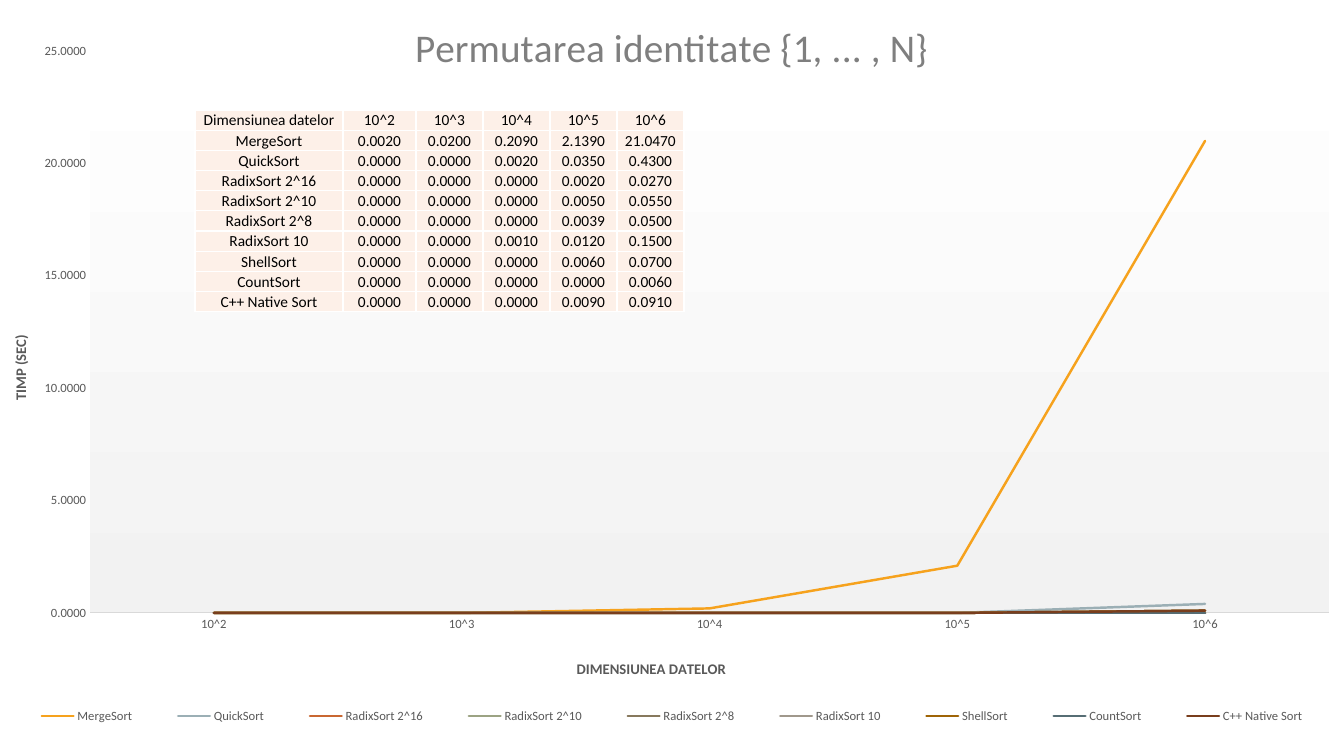
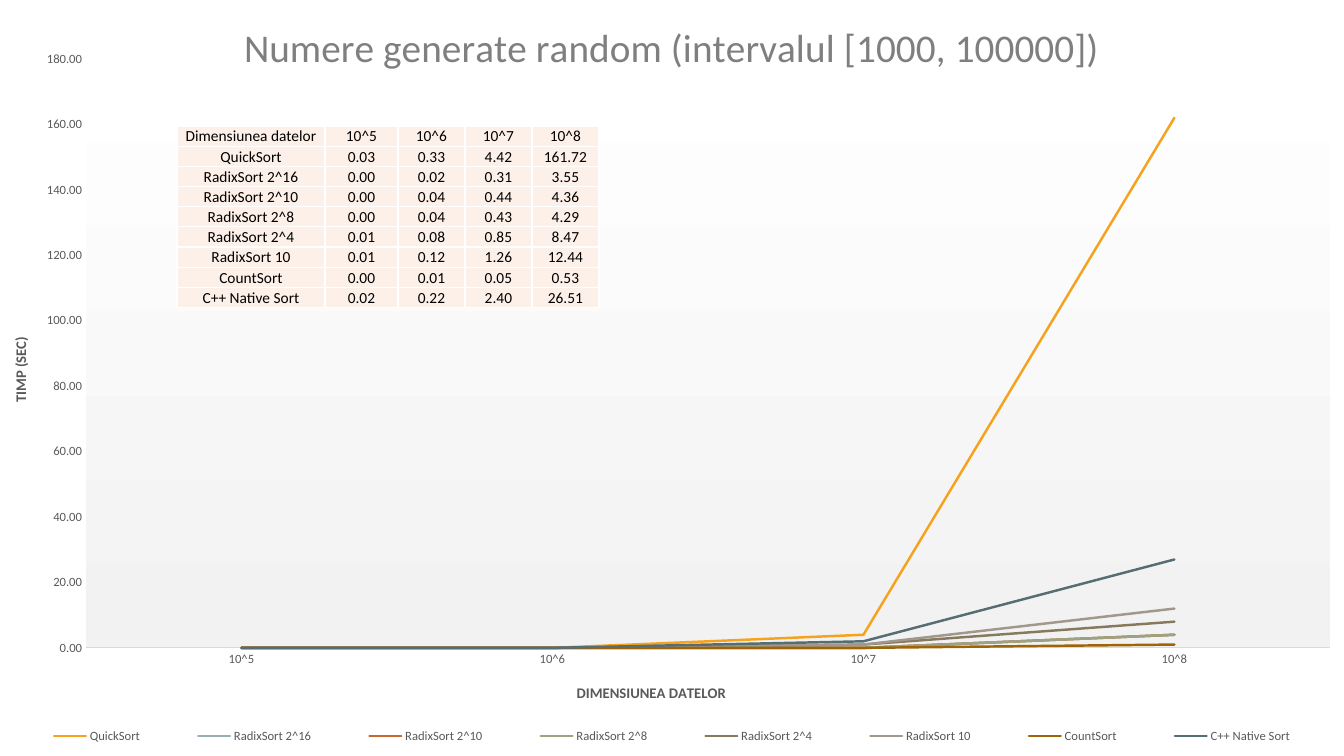
from math import ceil

from pptx import Presentation
from pptx.chart.data import CategoryChartData
from pptx.dml.color import RGBColor
from pptx.enum.chart import XL_CHART_TYPE, XL_LEGEND_POSITION, XL_TICK_MARK
from pptx.enum.text import MSO_ANCHOR, PP_ALIGN
from pptx.oxml import parse_xml
from pptx.oxml.ns import nsdecls
from pptx.util import Emu, Inches, Pt

# Shared style
PX = 914400 / 100.8
FONT = "Calibri"
BLACK, WHITE, PALE = "000000", "FFFFFF", "F2F2F2"
TITLE_GREY, TEXT_GREY, AXIS_GREY = "7F7F7F", "595959", "D9D9D9"
CELL_FILL = "FDF0E8"
SERIES_COLORS = ["F6A21D", "9BAFB5", "C96731", "9CA383", "87795D",
                 "A0988C", "9F6406", "566D74", "793E1D"]
COLUMNS = [148, 73, 67, 67, 67, 67]
ROW_HEIGHT = 20.16


def px(n):
    return Emu(round(n * PX))


def rgb(code):
    return RGBColor.from_string(code)


def set_font(font, size, color, bold=False):
    font.name, font.size, font.bold = FONT, Pt(size), bold
    font.color.rgb = rgb(color)


def set_line(line, color, width):
    line.color.rgb = rgb(color)
    line.width = Pt(width)


def set_title(title, text, size, color, bold=False):
    p = title.text_frame.paragraphs[0]
    r = p.add_run()
    r.text = text
    set_font(r.font, size, color, bold)


def set_layout(parent, index, box, size, inner=False):
    """Fix a chart part at a pixel box inside a chart of the given size."""
    for old in parent.xpath("./c:layout"):
        parent.remove(old)
    target = '<c:layoutTarget val="inner"/>' if inner else ""
    modes = "".join(f'<c:{k}Mode val="edge"/>' for k in "xy")
    values = "".join(f'<c:{k} val="{v / size[i % 2]:.4f}"/>'
                     for i, (k, v) in enumerate(zip("xywh", box)))
    parent.insert(index, parse_xml(
        f'<c:layout {nsdecls("c")}><c:manualLayout>{target}{modes}{values}'
        '</c:manualLayout></c:layout>'))


def area_fill(fill):
    return parse_xml(f'<c:spPr {nsdecls("c", "a")}>{fill}'
                     '<a:ln><a:noFill/></a:ln></c:spPr>')


def solid(color):
    return f'<a:solidFill><a:srgbClr val="{color}"/></a:solidFill>'


def round_half_down(text, steps):
    return ceil(float(text) * steps - 0.5) / steps


def add_line_chart(slide, box, bench):
    header, *rows = bench["rows"]
    data = CategoryChartData(number_format=bench["format"])
    data.categories = header[1:]
    for name, *values in rows:
        data.add_series(name, [round_half_down(v, bench["steps"])
                               for v in values])
    chart = slide.shapes.add_chart(
        XL_CHART_TYPE.LINE, *map(px, box), data).chart
    set_font(chart.font, 10, BLACK)
    space, size = chart.element, box[2:]

    # Lines
    plot = chart.plots[0]
    plot.vary_by_categories = False
    for series, color in zip(plot.series, SERIES_COLORS):
        series.smooth = False
        set_line(series.format.line, color, 1.75)
    for line in space.xpath(".//c:ser/c:spPr/a:ln"):
        line.set("cap", "rnd")

    # Axes
    cat, val = chart.category_axis, chart.value_axis
    for axis in (cat, val):
        axis.major_tick_mark = axis.minor_tick_mark = XL_TICK_MARK.NONE
        axis.has_major_gridlines = False
        set_font(axis.tick_labels.font, 9, TEXT_GREY)
    set_line(cat.format.line, AXIS_GREY, 0.75)
    val.format.line.fill.background()
    val.minimum_scale = 0
    val.maximum_scale, val.major_unit = bench["scale"]
    val.tick_labels.number_format = bench["format"]
    val.tick_labels.number_format_is_linked = False

    # Titles and legend
    chart.has_title = True
    set_title(chart.chart_title, bench["title"], 28, TITLE_GREY)
    set_title(cat.axis_title, "DIMENSIUNEA DATELOR", 10.5, TEXT_GREY, True)
    set_title(val.axis_title, "TIMP (SEC)", 10.5, TEXT_GREY, True)
    chart.has_legend = True
    chart.legend.position = XL_LEGEND_POSITION.BOTTOM
    chart.legend.include_in_layout = False
    set_font(chart.legend.font, 9, TEXT_GREY)

    # Places of the parts
    titles = space.xpath(".//c:title")
    for title, place in zip(titles, bench["titles_at"]):
        set_layout(title, 1, place, size)
    titles[0].xpath(".//a:rPr")[0].set("spc", "20")
    body = titles[2].xpath(".//a:bodyPr")[0]
    body.set("rot", "-5400000")
    body.set("vert", "horz")
    area = space.xpath(".//c:plotArea")[0]
    set_layout(area, 0, bench["plot"], size, inner=True)
    set_layout(space.xpath(".//c:legend")[0], 1, bench["legend"], size)

    # Backgrounds
    space.xpath("./c:chart")[0].addnext(area_fill(solid(WHITE)))
    stops = "".join(f'<a:gs pos="{pos}"><a:srgbClr val="{c}"/></a:gs>'
                    for pos, c in ((0, WHITE), (100000, PALE)))
    area.append(area_fill(f'<a:gradFill><a:gsLst>{stops}</a:gsLst>'
                          '<a:lin ang="5400000" scaled="0"/></a:gradFill>'))


def style_cell(cell, text):
    cell.text = text
    cell.vertical_anchor = MSO_ANCHOR.BOTTOM
    cell.margin_left = cell.margin_right = cell.margin_top = Inches(0.01)
    cell.margin_bottom = 0
    p = cell.text_frame.paragraphs[0]
    p.alignment = PP_ALIGN.CENTER
    set_font(p.font, 11, BLACK)
    cell.fill.solid()
    cell.fill.fore_color.rgb = rgb(CELL_FILL)
    tc_pr = cell.fill._xPr
    for i, side in enumerate("LRTB"):
        tc_pr.insert(i, parse_xml(
            f'<a:ln{side} {nsdecls("a")} w="12700">{solid(WHITE)}</a:ln{side}>'))


def add_times_table(slide, left, top, rows):
    widths = COLUMNS[:len(rows[0])]
    table = slide.shapes.add_table(
        len(rows), len(widths), px(left), px(top),
        px(sum(widths)), px(ROW_HEIGHT * len(rows))).table
    table.first_row = table.horz_banding = False
    for column, width in zip(table.columns, widths):
        column.width = px(width)
    for i, row in enumerate(rows):
        table.rows[i].height = px(ROW_HEIGHT)
        for j, text in enumerate(row):
            style_cell(table.cell(i, j), text)


def add_benchmark_slide(prs, bench):
    slide = prs.slides.add_slide(prs.slide_layouts[6])
    slide.background.fill.solid()
    slide.background.fill.fore_color.rgb = rgb(PALE)
    add_line_chart(slide, bench["box"], bench)
    add_times_table(slide, *bench["table_at"], bench["rows"])


def parse_rows(text):
    return [[cell.strip() for cell in line.split("|")]
            for line in text.strip().splitlines()]


# Measured times
IDENTITY = parse_rows("""
Dimensiunea datelor | 10^2 | 10^3 | 10^4 | 10^5 | 10^6
MergeSort | 0.0020 | 0.0200 | 0.2090 | 2.1390 | 21.0470
QuickSort | 0.0000 | 0.0000 | 0.0020 | 0.0350 | 0.4300
RadixSort 2^16 | 0.0000 | 0.0000 | 0.0000 | 0.0020 | 0.0270
RadixSort 2^10 | 0.0000 | 0.0000 | 0.0000 | 0.0050 | 0.0550
RadixSort 2^8 | 0.0000 | 0.0000 | 0.0000 | 0.0039 | 0.0500
RadixSort 10 | 0.0000 | 0.0000 | 0.0010 | 0.0120 | 0.1500
ShellSort | 0.0000 | 0.0000 | 0.0000 | 0.0060 | 0.0700
CountSort | 0.0000 | 0.0000 | 0.0000 | 0.0000 | 0.0060
C++ Native Sort | 0.0000 | 0.0000 | 0.0000 | 0.0090 | 0.0910
""")
RANDOM = parse_rows("""
Dimensiunea datelor | 10^5 | 10^6 | 10^7 | 10^8
QuickSort | 0.03 | 0.33 | 4.42 | 161.72
RadixSort 2^16 | 0.00 | 0.02 | 0.31 | 3.55
RadixSort 2^10 | 0.00 | 0.04 | 0.44 | 4.36
RadixSort 2^8 | 0.00 | 0.04 | 0.43 | 4.29
RadixSort 2^4 | 0.01 | 0.08 | 0.85 | 8.47
RadixSort 10 | 0.01 | 0.12 | 1.26 | 12.44
CountSort | 0.00 | 0.01 | 0.05 | 0.53
C++ Native Sort | 0.02 | 0.22 | 2.40 | 26.51
""")

# titles_at: chart title, category axis title, value axis title
# steps: plotted values per unit
BENCHMARKS = [
    dict(title="Permutarea identitate {1, ... , N}", rows=IDENTITY,
         format="0.0000", steps=10, scale=(25, 5), box=(0, 0, 1344, 756),
         plot=(90, 51, 1239, 562), legend=(0, 701, 1344, 30),
         titles_at=[(408, 14), (574, 656), (8, 332)], table_at=(195, 110)),
    dict(title="Numere generate random (intervalul [1000, 100000])",
         rows=RANDOM, format="0.00", steps=1, scale=(180, 20),
         box=(0, 0, 1344, 760),
         plot=(86, 59, 1244, 589), legend=(0, 721, 1344, 30),
         titles_at=[(237, 14), (574, 680), (8, 334)], table_at=(177, 126)),
]

prs = Presentation()
prs.slide_width, prs.slide_height = px(1344), px(756)
for bench in BENCHMARKS:
    add_benchmark_slide(prs, bench)
prs.save("out.pptx")
